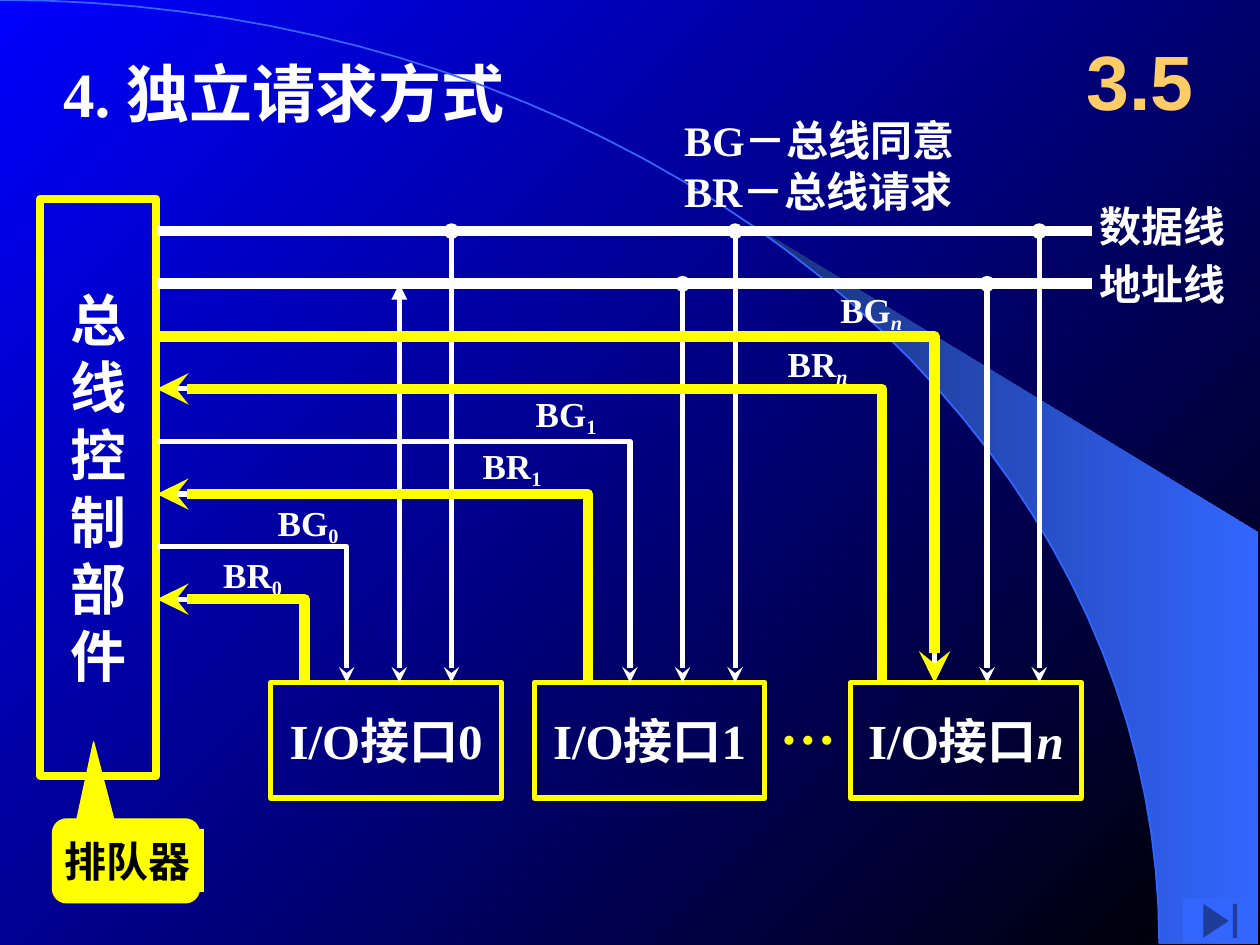
from math import cos, radians, sin

from lxml.etree import SubElement
from pptx import Presentation
from pptx.dml.color import RGBColor
from pptx.enum.shapes import MSO_CONNECTOR as LINE, MSO_SHAPE as SHAPE
from pptx.enum.text import MSO_ANCHOR as ANCHOR, MSO_AUTO_SIZE as FIT, PP_ALIGN as ALIGN
from pptx.oxml.ns import qn
from pptx.util import Cm, Pt

WHITE = RGBColor(0xFF, 0xFF, 0xFF)
BLACK = RGBColor(0, 0, 0)
YELLOW = RGBColor(0xFF, 0xFF, 0)
BLUE = RGBColor(0, 0, 0xFF)
SKY = RGBColor(0x33, 0x66, 0xFF)
NAVY = RGBColor(0x18, 0x2F, 0x76)
GOLD = RGBColor(0xFF, 0xCC, 0x66)

# Content
TITLE = "4. 独立请求方式"
SECTION = "3.5"
LEGEND = ["BG－总线同意", "BR－总线请求"]
CONTROLLER = list("总线控制部件")
QUEUE = "排队器"
BUSES = [("数据线", 3.91), ("地址线", 5.08)]  # label, label top
# index, box left, x of request, grant, address and data lines
INTERFACES = [
    ("0", 5.46, (6.14, 6.99, 8.05, 9.1)),
    ("1", 10.77, (11.85, 12.7, 13.76, 14.82)),
    ("n", 17.15, (17.78, 18.84, 19.9, 20.95)),
]
# signal, interface, grid row of its wire, label left, label top
SIGNALS = [
    ("BG", 2, 2, 16.94, 5.82),
    ("BR", 2, 3, 15.88, 6.91),
    ("BG", 1, 4, 10.8, 7.92),
    ("BR", 1, 5, 9.73, 8.97),
    ("BG", 0, 6, 5.6, 10.11),
    ("BR", 0, 7, 4.5, 11.15),
]

# Layout
ROW_TOP, ROW_STEP = 4.66, 1.06
WIRE_LEFT, BUS_RIGHT = 3.17, 22.02
BOX_TOP, BOX_W, BOX_H = 13.76, 4.65, 2.33
ARC_W, ARC_H = 23.37, 19.02
SLIDE_W, SLIDE_H = 25.4, 19.05

prs = Presentation()
prs.slide_width, prs.slide_height = Cm(SLIDE_W), Cm(SLIDE_H)
slide = prs.slides.add_slide(prs.slide_layouts[5])
shapes = slide.shapes


def row_y(row):
    return ROW_TOP + row * ROW_STEP


def shade(fill, start, end, angle):
    fill.gradient()
    fill.gradient_angle = angle
    for stop, color in zip(fill.gradient_stops, (start, end)):
        stop.color.rgb = color


def write(shape, lines, size=24, color=WHITE, font="Times New Roman", align=ALIGN.LEFT,
          anchor=ANCHOR.TOP, wrap=False, margins=True):
    """Each line is a string or a list of (text, italic, subscript) runs."""
    frame = shape.text_frame
    frame.word_wrap, frame.auto_size, frame.vertical_anchor = wrap, FIT.NONE, anchor
    if not margins:
        frame.margin_left = frame.margin_right = frame.margin_top = frame.margin_bottom = 0
    for i, line in enumerate(lines):
        para = frame.add_paragraph() if i else frame.paragraphs[0]
        para.alignment = align
        for text, italic, sub in [(line, False, False)] if isinstance(line, str) else line:
            run = para.add_run()
            run.text = text
            run.font.name, run.font.size, run.font.bold = font, Pt(size), True
            run.font.color.rgb = color
            if italic:
                run.font.italic = True
            if sub:
                run.font._element.set("baseline", "-20000")


def label(x, y, w, h, lines, **fmt):
    write(shapes.add_textbox(Cm(x), Cm(y), Cm(w), Cm(h)), lines, **fmt)


def block(kind, x, y, w, h, fill=None, line=None, width=0.75):
    shape = shapes.add_shape(kind, Cm(x), Cm(y), Cm(w), Cm(h))
    shape.shadow.inherit = False
    paint(shape, fill, line, width)
    return shape


def paint(shape, fill, line, width):
    if fill is None:
        shape.fill.background()
    else:
        shape.fill.solid()
        shape.fill.fore_color.rgb = fill
    if line is None:
        shape.line.fill.background()
    else:
        shape.line.color.rgb, shape.line.width = line, Pt(width)


def add_ends(shape, head, tail):
    ln = shape.line._get_or_add_ln()
    for tag, kind in (("a:headEnd", head), ("a:tailEnd", tail)):
        if kind:
            SubElement(ln, qn(tag)).set("type", kind)


def outline(points, close=False):
    points = [(Cm(x), Cm(y)) for x, y in points]
    builder = shapes.build_freeform(*points[0], scale=1.0)
    builder.add_line_segments(points[1:], close=close)
    shape = builder.convert_to_shape()
    shape.shadow.inherit = False
    return shape


def straight(x1, y1, x2, y2, width, head=None, tail=None):
    line = shapes.add_connector(LINE.STRAIGHT, Cm(x1), Cm(y1), Cm(x2), Cm(y2))
    line.line.color.rgb, line.line.width = WHITE, Pt(width)
    add_ends(line, head, tail)
    SubElement(line._element.spPr, qn("a:effectLst"))


def wire(signal, interface, row, color, width):
    is_grant = signal == "BG"
    x, y = INTERFACES[interface][2][int(is_grant)], row_y(row)
    bend = outline([(WIRE_LEFT, y), (x, y), (x, BOX_TOP)])
    paint(bend, None, color, width)
    add_ends(bend, None if is_grant else "stealth", "stealth" if is_grant else None)


def arc(start):
    angles = [radians(start + (90 - start) * i / 40) for i in range(41)]
    return [(ARC_W * sin(a), ARC_H * (1 - cos(a))) for a in angles]


# Background and curved beam
shade(slide.background.fill, BLUE, BLACK, 315)
beam = outline(arc(39.8) + [(25.37, ARC_H), (25.37, 10.74)], close=True)
shade(beam.fill, NAVY, SKY, 0)
beam.line.fill.background()
paint(outline(arc(0)), None, SKY, 1)

# Title and section number
title = shapes.title
title.left, title.top, title.width, title.height = Cm(1.02), Cm(0.97), Cm(11.68), Cm(1.78)
write(title, [TITLE], size=36, wrap=True)
label(21.39, 0.43, 3.18, 2.34, [SECTION], size=44, color=GOLD, font="Arial",
      align=ALIGN.CENTER, anchor=ANCHOR.MIDDLE, wrap=True)
label(13.54, 2.19, 6.55, 2.33, LEGEND, wrap=True)

# Controller, buses and interfaces
controller = block(SHAPE.RECTANGLE, 0.81, 4.01, 2.34, 11.63, line=YELLOW, width=4.5)
write(controller, CONTROLLER, size=32, align=ALIGN.CENTER, anchor=ANCHOR.MIDDLE)
for row, (name, top) in enumerate(BUSES):
    straight(WIRE_LEFT, row_y(row), BUS_RIGHT, row_y(row), 6)
    label(21.92, top, 3.05, 1.27, [name])
for index, left, _ in INTERFACES:
    box = block(SHAPE.RECTANGLE, left, BOX_TOP, BOX_W, BOX_H, line=YELLOW, width=3)
    write(box, [[("I/O接口", False, False), (index, index == "n", False)]], size=28,
          align=ALIGN.CENTER, anchor=ANCHOR.MIDDLE)
label(15.47, BOX_TOP, 1.63, 1.63, ["…"], size=32, color=YELLOW)

# White wires and their labels
for signal, interface, row, left, top in SIGNALS:
    wire(signal, interface, row, WHITE, 3)
    index = INTERFACES[interface][0]
    label(left, top, 2.34, 0.94, [[(signal, False, False), (index, index == "n", True)]],
          size=20, wrap=True, margins=False)

# Address and data taps
for index, _, (_, _, address_x, data_x) in INTERFACES:
    straight(address_x, row_y(1), address_x, BOX_TOP, 3,
             "triangle" if index == "0" else "oval", "stealth")
    straight(data_x, row_y(0), data_x, BOX_TOP, 3, "oval", "stealth")

# Highlighted wires: every request and the last grant
for signal, interface, row, _, _ in SIGNALS:
    if signal == "BR" or interface == 2:
        wire(signal, interface, row, YELLOW, 6)

# Queue callout
callout = block(SHAPE.ROUNDED_RECTANGULAR_CALLOUT, 1.06, 16.51, 2.96, 1.69, YELLOW, YELLOW)
callout.adjustments[0], callout.adjustments[1] = -0.22, -1.42
write(block(SHAPE.RECTANGLE, 1.06, 16.71, 3.05, 1.27, YELLOW), [QUEUE], color=BLACK)

# Navigation button
block(SHAPE.ACTION_BUTTON_END, 23.85, 18.11, 1.5, 0.91, SKY)

prs.save("out.pptx")
